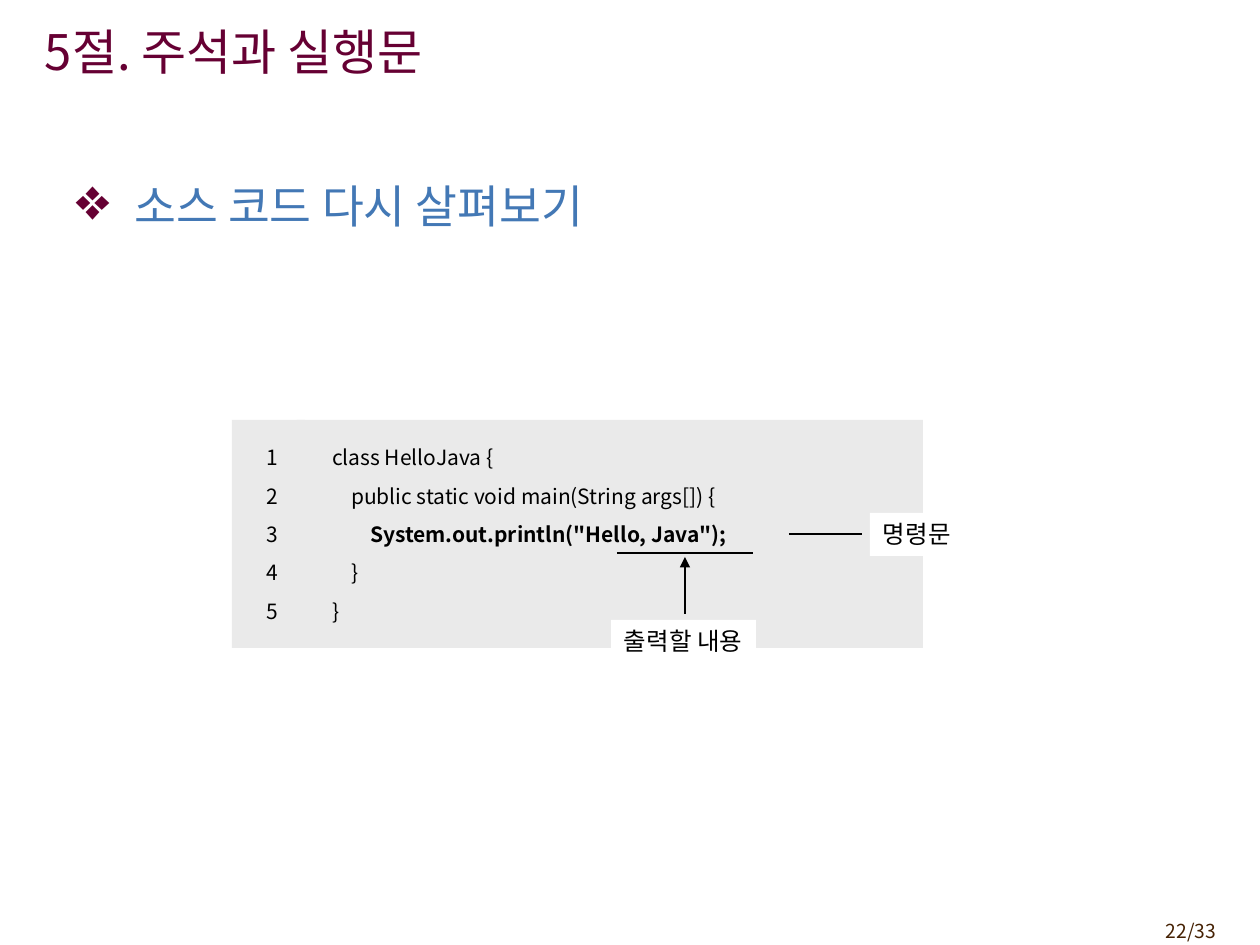
"""Build the Java source review slide."""
from pptx import Presentation
from pptx.dml.color import RGBColor
from pptx.enum.shapes import MSO_CONNECTOR
from pptx.enum.text import MSO_ANCHOR, PP_ALIGN
from pptx.oxml.ns import qn
from pptx.util import Pt
from lxml import etree

LINE = MSO_CONNECTOR.STRAIGHT
TOP, MIDDLE = MSO_ANCHOR.TOP, MSO_ANCHOR.MIDDLE
LEFT, RIGHT = PP_ALIGN.LEFT, PP_ALIGN.RIGHT
FONT = "Noto Sans CJK KR"
BLACK, WHITE, GRAY, WINE = "000000", "FFFFFF", "EAEAEA", "660033"
PAD, CODE_PAD = (13, 6, 13, 6), (35, 25, 25, 25)
HEAD_PAD, TAG_PAD = (13, 75, 13, 6), (13, 6, 2, 6)
STEP, HANG = 19, 48

TITLE = "5절. 주석과 실행문"
HEAD = " 소스 코드 다시 살펴보기"
PAGE = "22/33"
CODE = [
    (0, "class HelloJava {", False),
    (1, "public static void main(String args[]) {", False),
    (2, 'System.out.println("Hello, Java");', True),
    (1, "}", False),
    (0, "}", False),
]
LABELS = [
    ("명령문", (870, 513, 93, 43)),
    ("출력할 내용", (611, 620, 145, 43)),
]
RULES = [
    ((789, 534, 862, 534), False),
    ((617, 553, 753, 553), False),
    ((685, 614, 685, 557), True),
]


def px(n):
    return round(n * 914400 / 126)


def tint(code):
    return RGBColor.from_string(code)


def add_text(slide, box, rows, size, color=BLACK, fill=None, pad=PAD,
             align=LEFT, anchor=TOP, gap=0):
    shape = slide.shapes.add_textbox(*map(px, box))
    if fill:
        shape.fill.solid()
        shape.fill.fore_color.rgb = tint(fill)
    frame = shape.text_frame
    frame.word_wrap, frame.vertical_anchor = True, anchor
    (frame.margin_left, frame.margin_top,
     frame.margin_right, frame.margin_bottom) = map(px, pad)
    for i, (level, text, bold) in enumerate(rows):
        para = frame.add_paragraph() if i else frame.paragraphs[0]
        para.alignment = align
        para.line_spacing = Pt(round(size * 1.2, 1))
        para.space_before = Pt(gap if i else 0)
        if level:
            para._p.get_or_add_pPr().set("marL", str(px(level * STEP)))
        run = para.add_run()
        run.text = text
        font = run.font
        font.name, font.size, font.bold = FONT, Pt(size), bold
        font.color.rgb = tint(color)
        east = etree.SubElement(run._r.get_or_add_rPr(), qn("a:ea"))
        east.set("typeface", FONT)
    return frame


def add_bullet(para, mark, color):
    props = para._p.get_or_add_pPr()
    props.set("marL", str(px(HANG)))
    props.set("indent", str(-px(HANG)))
    paint = etree.SubElement(props, qn("a:buClr"))
    etree.SubElement(paint, qn("a:srgbClr")).set("val", color)
    etree.SubElement(props, qn("a:buSzPct")).set("val", "130000")
    etree.SubElement(props, qn("a:buChar")).set("char", mark)


def add_rule(slide, ends, arrow):
    rule = slide.shapes.add_connector(LINE, *map(px, ends))
    rule.line.color.rgb = tint(BLACK)
    rule.line.width = Pt(0.75)
    if arrow:
        tail = etree.SubElement(rule.line._get_or_add_ln(), qn("a:tailEnd"))
        tail.set("type", "triangle")
    etree.SubElement(rule._element.spPr, qn("a:effectLst"))


def main():
    deck = Presentation()
    deck.slide_width, deck.slide_height = px(1260), px(945)
    slide = deck.slides.add_slide(deck.slide_layouts[6])
    add_text(slide, (1124, 913, 105, 36), [(0, PAGE, False)], 11, "452103",
             align=RIGHT)
    add_text(slide, (32, 11, 1042, 79), [(0, TITLE, False)], 28, WINE,
             anchor=MIDDLE)
    head = add_text(slide, (63, 116, 1133, 850), [(0, HEAD, False)], 26,
                    "4378B5", pad=HEAD_PAD)
    add_bullet(head.paragraphs[0], "❖", WINE)
    count = [(0, str(i), False) for i in range(1, len(CODE) + 1)]
    for left, wide, rows in ((297, 626, CODE), (232, 73, count)):
        add_text(slide, (left, 420, wide, 228), rows, 12, fill=GRAY,
                 pad=CODE_PAD, gap=7.5)
    for text, box in LABELS:
        add_text(slide, box, [(0, text, False)], 14, fill=WHITE, pad=TAG_PAD)
    for ends, arrow in RULES:
        add_rule(slide, ends, arrow)
    deck.save("out.pptx")


if __name__ == "__main__":
    main()
